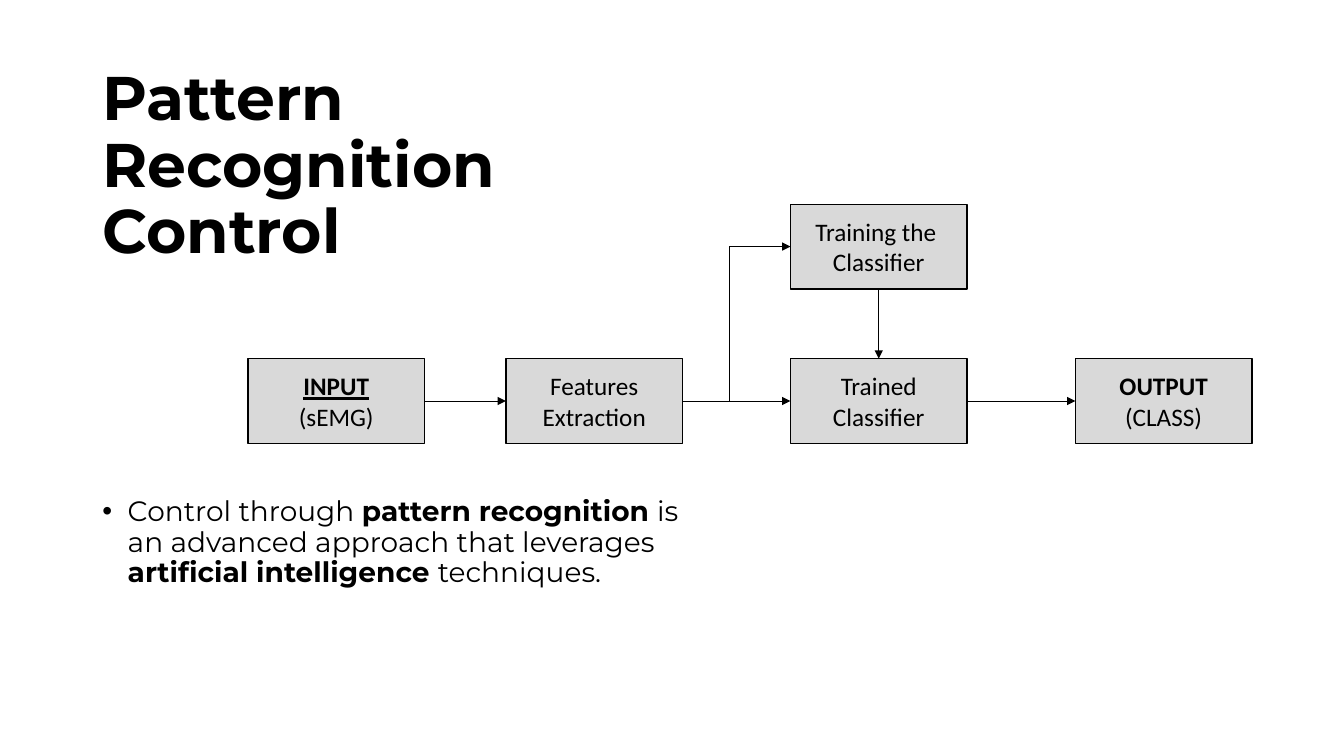
from dataclasses import dataclass

from lxml import etree
from pptx import Presentation
from pptx.dml.color import RGBColor
from pptx.enum.shapes import MSO_CONNECTOR, MSO_SHAPE
from pptx.enum.text import MSO_ANCHOR, PP_ALIGN
from pptx.oxml.ns import qn
from pptx.util import Cm, Pt


@dataclass(frozen=True)
class Theme:
    ink: RGBColor = RGBColor(0, 0, 0)
    block: RGBColor = RGBColor(0xD9, 0xD9, 0xD9)
    text_font: str = "Montserrat"
    block_font: str = "Calibri"
    title_size: int = 44
    body_size: int = 20
    block_size: int = 18
    outline: float = 1
    arrow: float = 0.5


# Connection sites of a rectangle
TOP, LEFT, BOTTOM, RIGHT = range(4)


class SlideBuilder:
    def __init__(self, page, theme):
        self.page = page
        self.theme = theme

    def add_span(self, para, text, font, size, bold=False, underline=False):
        span = para.add_run()
        span.text = text
        span.font.name = font
        span.font.size = Pt(size)
        span.font.bold = bold
        span.font.underline = underline
        span.font.color.rgb = self.theme.ink

    def text_box(self, left, top, width, height):
        """Add a wrapped, vertically centred box and return its paragraph."""
        box = self.page.shapes.add_textbox(Cm(left), Cm(top), Cm(width), Cm(height))
        box.text_frame.word_wrap = True
        box.text_frame.vertical_anchor = MSO_ANCHOR.MIDDLE
        para = box.text_frame.paragraphs[0]
        para.line_spacing = 0.9
        return para

    def title(self, lines, *place):
        para = self.text_box(*place)
        for index, line in enumerate(lines):
            if index:
                para.add_line_break()
            self.add_span(para, line, self.theme.text_font, self.theme.title_size, bold=True)

    def bullet(self, spans, *place):
        para = self.text_box(*place)
        para.space_before = Pt(10)
        properties = para._p.get_or_add_pPr()
        properties.set("marL", str(Cm(0.64)))
        properties.set("indent", str(-Cm(0.64)))
        etree.SubElement(properties, qn("a:buFont")).set("typeface", "Arial")
        etree.SubElement(properties, qn("a:buChar")).set("char", "•")
        for text, bold in spans:
            self.add_span(para, text, self.theme.text_font, self.theme.body_size, bold)

    def block(self, lines, left, top, width, height, bold=False, underline=False):
        """Add a diagram block; emphasis applies to its first line."""
        box = self.page.shapes.add_shape(
            MSO_SHAPE.RECTANGLE, Cm(left), Cm(top), Cm(width), Cm(height))
        box.shadow.inherit = False
        box.fill.solid()
        box.fill.fore_color.rgb = self.theme.block
        box.line.color.rgb = self.theme.ink
        box.line.width = Pt(self.theme.outline)
        frame = box.text_frame
        frame.word_wrap = True
        frame.vertical_anchor = MSO_ANCHOR.MIDDLE
        for index, line in enumerate(lines):
            para = frame.add_paragraph() if index else frame.paragraphs[0]
            para.alignment = PP_ALIGN.CENTER
            first = index == 0
            self.add_span(para, line, self.theme.block_font, self.theme.block_size,
                          bold and first, underline and first)
        return box

    def style_arrow(self, connector):
        connector.line.color.rgb = self.theme.ink
        connector.line.width = Pt(self.theme.arrow)
        outline = connector.line._get_or_add_ln()
        etree.SubElement(outline, qn("a:tailEnd")).set("type", "triangle")
        etree.SubElement(connector._element.spPr, qn("a:effectLst"))

    def arrow(self, source, source_site, target, target_site):
        connector = self.page.shapes.add_connector(MSO_CONNECTOR.STRAIGHT, 0, 0, 0, 0)
        connector.begin_connect(source, source_site)
        connector.end_connect(target, target_site)
        self.style_arrow(connector)

    def branch_arrow(self, left, bottom, right, top):
        """Add an arrow that runs up, then right."""
        # The frame is laid out sideways around its centre, then turned by 90°
        middle_x, middle_y = (left + right) / 2, (top + bottom) / 2
        half_run, half_rise = (right - left) / 2, (bottom - top) / 2
        connector = self.page.shapes.add_connector(
            MSO_CONNECTOR.ELBOW,
            Cm(middle_x + half_rise), Cm(middle_y + half_run),
            Cm(middle_x - half_rise), Cm(middle_y - half_run))
        properties = connector._element.spPr
        properties.find(qn("a:xfrm")).set("rot", str(90 * 60000))
        properties.find(qn("a:prstGeom")).set("prst", "bentConnector2")
        self.style_arrow(connector)


def main():
    deck = Presentation()
    deck.slide_width, deck.slide_height = Cm(33.87), Cm(19.05)
    page = deck.slides.add_slide(deck.slide_layouts[6])
    builder = SlideBuilder(page, Theme())

    # Title and statement
    builder.title(["Pattern\u00a0", "Recognition Control"], 2.33, 0.89, 11.7, 6.65)
    builder.bullet([
        ("Control through ", False),
        ("pattern recognition ", True),
        ("is an advanced approach that leverages ", False),
        ("artificial intelligence ", True),
        ("techniques.", False),
    ], 2.33, 10.36, 15.9, 6.65)

    # Diagram blocks
    size = width, height = 4.45, 2.13
    row_top, training_top = 9.04, 5.15
    features_left, classifier_left = 12.75, 19.92
    source = builder.block(["INPUT", "(sEMG)"], 6.25, row_top, *size,
                           bold=True, underline=True)
    features = builder.block(["Features", "Extraction"], features_left, row_top, *size)
    training = builder.block(["Training the ", "Classifier"],
                             classifier_left, training_top, *size)
    trained = builder.block(["Trained", "Classifier"], classifier_left, row_top, *size)
    output = builder.block(["OUTPUT", "(CLASS)"], 27.1, row_top, *size, bold=True)

    # Flow between the blocks
    chain = [source, features, trained, output]
    for before, after in zip(chain, chain[1:]):
        builder.arrow(before, RIGHT, after, LEFT)
    builder.arrow(training, BOTTOM, trained, TOP)
    builder.branch_arrow(features_left + width + 1.19, row_top + height / 2,
                         classifier_left, training_top + height / 2)

    deck.save("out.pptx")


if __name__ == "__main__":
    main()
